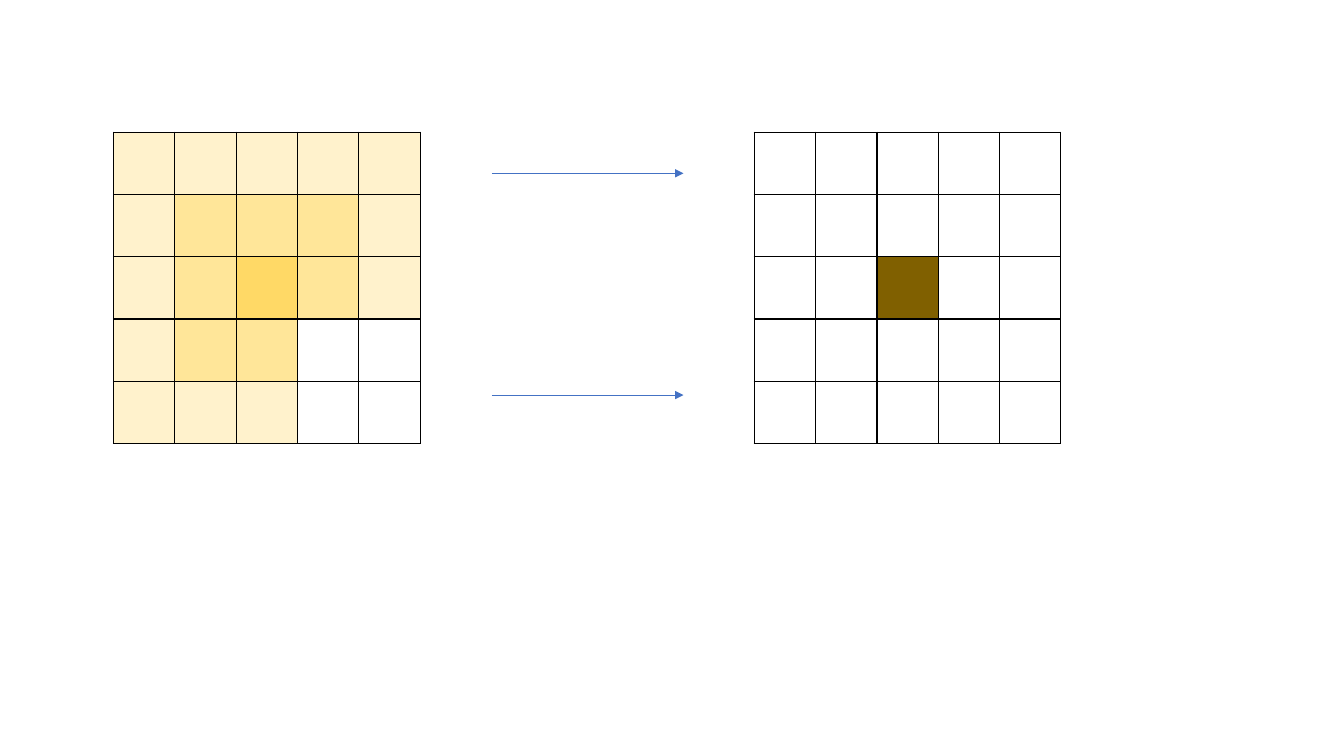
import pptx
import pptx.dml.color
import pptx.enum.shapes
import pptx.oxml.ns
import pptx.util
from lxml import etree

Pt = pptx.util.Pt
RGB = pptx.dml.color.RGBColor

PALE = RGB(0xFF, 0xF2, 0xCC)
MID = RGB(0xFF, 0xE6, 0x99)
GOLD = RGB(0xFF, 0xD9, 0x66)
BROWN = RGB(0x80, 0x60, 0x00)
BLUE = RGB(0x44, 0x72, 0xC4)
BLACK = RGB(0, 0, 0)

FILLS = {"p": PALE, "m": MID, "g": GOLD, "b": BROWN}
GRIDS = [
    (81.1, ["ppppp", "pmmmp", "pmgmp", "pmm..", "ppp.."]),
    (538.8, [".....", ".....", "..b..", ".....", "....."]),
]
TOP, WIDE, HIGH = 94.4, 43.8, 44.5
ARROWS = [123.8, 282.2]
START, END = 351.4, 488.2


def node(parent, tag, **attrs):
    return etree.SubElement(parent, pptx.oxml.ns.qn(tag), attrs)


def border(cell):
    props = cell._tc.get_or_add_tcPr()
    for side in ("lnL", "lnR", "lnT", "lnB"):
        line = node(props, "a:" + side, w=str(Pt(1)))
        solid = node(line, "a:solidFill")
        node(solid, "a:srgbClr", val=str(BLACK))


def grid(slide, left, rows):
    count, size = len(rows), len(rows[0])
    frame = slide.shapes.add_table(
        count, size, Pt(left), Pt(TOP), Pt(WIDE * size), Pt(HIGH * count))
    table = frame.table
    table.first_row = table.horz_banding = False
    for col in table.columns:
        col.width = Pt(WIDE)
    for r, marks in enumerate(rows):
        table.rows[r].height = Pt(HIGH)
        for c, mark in enumerate(marks):
            cell = table.cell(r, c)
            border(cell)
            if mark in FILLS:
                cell.fill.solid()
                cell.fill.fore_color.rgb = FILLS[mark]
            else:
                cell.fill.background()


def arrow(slide, y):
    link = slide.shapes.add_connector(
        pptx.enum.shapes.MSO_CONNECTOR.STRAIGHT,
        Pt(START), Pt(y), Pt(END), Pt(y))
    link.line.color.rgb = BLUE
    link.line.width = Pt(0.5)
    node(link.line._get_or_add_ln(), "a:tailEnd", type="triangle")
    node(link._element.spPr, "a:effectLst")


def main():
    deck = pptx.Presentation()
    deck.slide_width, deck.slide_height = Pt(960), Pt(540)
    slide = deck.slides.add_slide(deck.slide_layouts[6])
    for left, rows in GRIDS:
        grid(slide, left, rows)
    for y in ARROWS:
        arrow(slide, y)
    deck.save("out.pptx")


if __name__ == "__main__":
    main()
